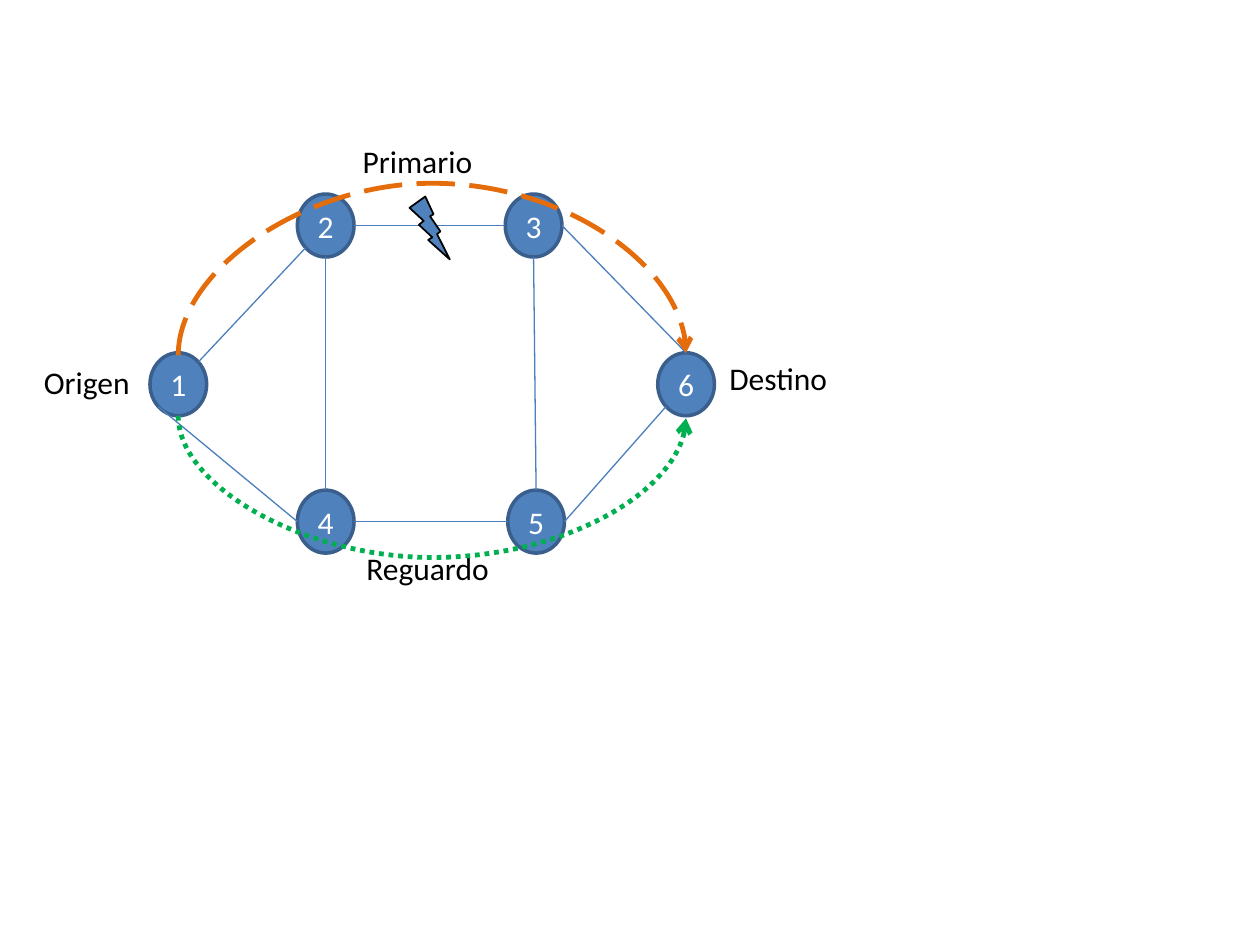
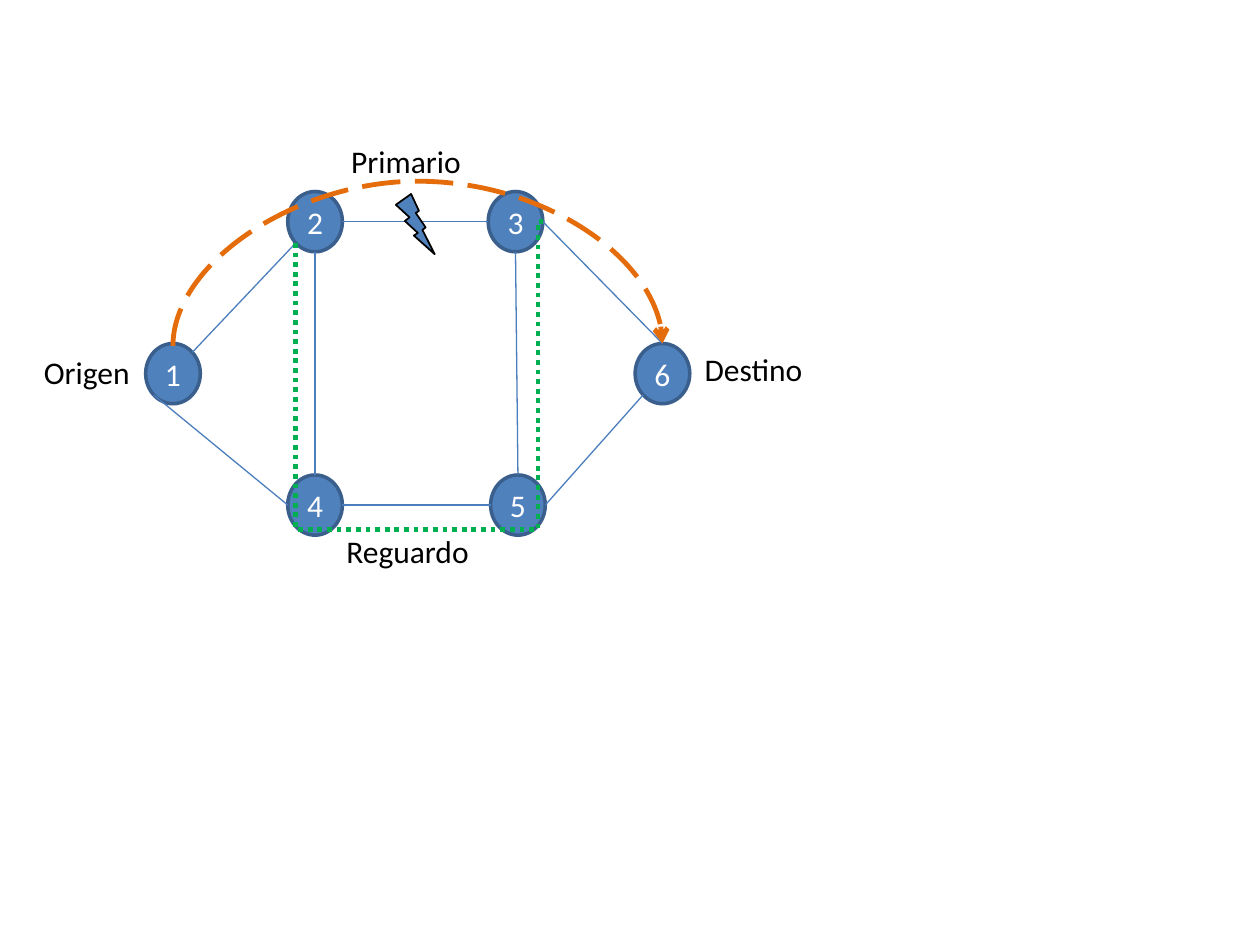
import math
import pptx
import pptx.dml.color
import pptx.enum.dml
import pptx.enum.shapes
import pptx.enum.text
import pptx.oxml.ns
import pptx.util
from pptx.util import Inches

RGB = pptx.dml.color.RGBColor
DASH = pptx.enum.dml.MSO_LINE
SHAPE = pptx.enum.shapes.MSO_SHAPE
WIRE = pptx.enum.shapes.MSO_CONNECTOR
TEXT = pptx.enum.text

BLUE = RGB(0x4F, 0x81, 0xBD)
EDGE = RGB(0x3A, 0x5F, 0x8C)
LINK = RGB(0x4B, 0x7E, 0xBC)
ORANGE = RGB(0xE4, 0x6C, 0x0A)
GREEN = RGB(0x00, 0xB0, 0x50)
BLACK = RGB(0, 0, 0)
WHITE = RGB(0xFF, 0xFF, 0xFF)

SIZE = (0.45, 0.5)
NODES = {"1": (1.19, 2.8), "3": (4.01, 1.54), "6": (5.22, 2.8),
         "2": (2.36, 1.54), "5": (4.03, 3.89), "4": (2.36, 3.89)}
# Rim points of a node, in degrees clockwise from the right
RIM = {"right": 0, "low left": 135, "low": 90, "left": 180, "top": 270, "top right": 315}
LINKS = [("1", "top right", "2", "low left"), ("2", "right", "3", "left"),
         ("3", "right", "6", "top"), ("6", "low left", "5", "right"),
         ("1", "low left", "4", "left"), ("4", "right", "5", "left"),
         ("2", "low", "4", "top"), ("3", "low", "5", "top")]
LABELS = {"Primario": (2.78, 1.08, 1.22), "Reguardo": (2.81, 4.31, 1.34),
          "Origen": (0.25, 2.83, 1.01), "Destino": (5.69, 2.8, 1.12)}
TALL = 0.46
BOLT = (3.25, 1.56, 0.32, 0.5)

# A curve needs a small height difference between its ends
SKEW = 0.02
MAIN = {"ends": ("1", "top", "6", "top"), "skew": (SKEW, 0), "bend": 1.46,
        "color": ORANGE, "dash": DASH.LONG_DASH, "arrow": True}
SPARE = {"ends": ("1", "low", "6", "low"), "skew": (0, SKEW), "bend": 4.42,
         "color": GREEN, "dash": DASH.ROUND_DOT, "arrow": True}
DETOUR = {"ends": ("2", "low left", "3", "right"), "skew": (0, 0), "bend": 4.34,
          "turn": 0.98, "color": GREEN, "dash": DASH.ROUND_DOT, "arrow": False}

ORIGIN = (0.25, 1.08)
PAGES = [{"scale": (1, 1), "routes": [MAIN, SPARE], "moved": {}},
         {"scale": (0.964, 0.957), "routes": [MAIN, DETOUR], "moved": {"Reguardo": -0.07}}]

FRAME = {"margin_left": 0, "margin_right": 0, "margin_top": 0, "margin_bottom": 0,
         "word_wrap": False, "vertical_anchor": TEXT.MSO_ANCHOR.MIDDLE}
LABEL = {"word_wrap": False, "auto_size": TEXT.MSO_AUTO_SIZE.SHAPE_TO_FIT_TEXT}
FONT = {"name": "Calibri", "size": pptx.util.Pt(18)}


def apply(target, form):
    for name, value in form.items():
        setattr(target, name, value)


def fit(page, x, y):
    return tuple(o + (v - o) * s for o, v, s in zip(ORIGIN, (x, y), page["scale"]))


def box(page, x, y, wide, high):
    across, down = page["scale"]
    return [Inches(v) for v in (*fit(page, x, y), wide * across, high * down)]


def rim(page, node, side):
    turn = math.radians(RIM[side])
    x, y = NODES[node]
    wide, high = SIZE
    return fit(page, x + wide / 2 * (1 + math.cos(turn)), y + high / 2 * (1 + math.sin(turn)))


def write(shape, text, form, color, align):
    apply(shape.text_frame, form)
    part = shape.text_frame.paragraphs[0]
    part.alignment = align
    run = part.add_run()
    run.text = text
    apply(run.font, FONT)
    run.font.color.rgb = color


def stroke(line, color, width):
    line.color.rgb = color
    line.width = pptx.util.Pt(width)


def solid(slide, kind, place, edge, width):
    shape = slide.shapes.add_shape(kind, *place)
    shape.shadow.inherit = False
    shape.fill.solid()
    shape.fill.fore_color.rgb = BLUE
    stroke(shape.line, edge, width)
    return shape


def sub(parent, tag, **attrs):
    node = parent.makeelement(pptx.oxml.ns.qn(tag), attrs)
    parent.append(node)
    return node


def join(slide, kind, start, end, color, width):
    wire = slide.shapes.add_connector(kind, *[Inches(v) for v in (*start, *end)])
    stroke(wire.line, color, width)
    return wire


def route(slide, page, form):
    """Draw a path that leaves upright, by swapping its sides and turning it."""
    first, last, = [rim(page, *form["ends"][i:i + 2]) for i in (0, 2)]
    (x1, y1), (x2, y2) = [(x, y + d) for (x, y), d in zip((first, last), form["skew"])]
    wide, high = abs(y2 - y1), x2 - x1
    left, top = (x1 + x2 - wide) / 2, (y1 + y2 - high) / 2
    kind = WIRE.ELBOW if "turn" in form else WIRE.CURVE
    wire = join(slide, kind, (left, top), (left + wide, top + high), form["color"], 2.75)
    wire.line.dash_style = form["dash"]
    if form["arrow"]:
        sub(wire.line._ln, "a:tailEnd", type="arrow")
    props = wire._element.spPr
    frame = props.find(pptx.oxml.ns.qn("a:xfrm"))
    rising = y1 > y2
    frame.set("rot", str((90 if rising else 270) * 60000))
    frame.set("flipH", "1")
    if rising:
        frame.set("flipV", "1")
    bends = [(fit(page, 0, form["bend"])[1] - y1) / (y2 - y1)]
    shape = props.find(pptx.oxml.ns.qn("a:prstGeom"))
    if "turn" in form:
        shape.set("prst", "bentConnector4")
        bends.append(form["turn"])
    guides = shape.find(pptx.oxml.ns.qn("a:avLst"))
    for i, bend in enumerate(bends, 1):
        name = f"adj{i}"
        sub(guides, "a:gd", name=name, fmla=f"val {round(bend * 100000)}")
    sub(props, "a:effectLst")


def draw(slide, page):
    for name, spot in NODES.items():
        node = solid(slide, SHAPE.OVAL, box(page, *spot, *SIZE), EDGE, 2)
        write(node, name, FRAME, WHITE, TEXT.PP_ALIGN.CENTER)
    for a, side, b, other in LINKS:
        wire = join(slide, WIRE.STRAIGHT, rim(page, a, side), rim(page, b, other), LINK, 0.75)
        sub(wire._element.spPr, "a:effectLst")
    for form in page["routes"]:
        route(slide, page, form)
    solid(slide, SHAPE.LIGHTNING_BOLT, box(page, *BOLT), BLACK, 1)
    for text, (x, y, wide) in LABELS.items():
        x += page["moved"].get(text, 0)
        label = slide.shapes.add_textbox(*box(page, x, y, wide, TALL))
        write(label, text, LABEL, BLACK, TEXT.PP_ALIGN.LEFT)


def main():
    deck = pptx.Presentation()
    apply(deck, {"slide_width": Inches(10), "slide_height": Inches(7.5)})
    for page in PAGES:
        draw(deck.slides.add_slide(deck.slide_layouts[6]), page)
    deck.save("out.pptx")


if __name__ == "__main__":
    main()
